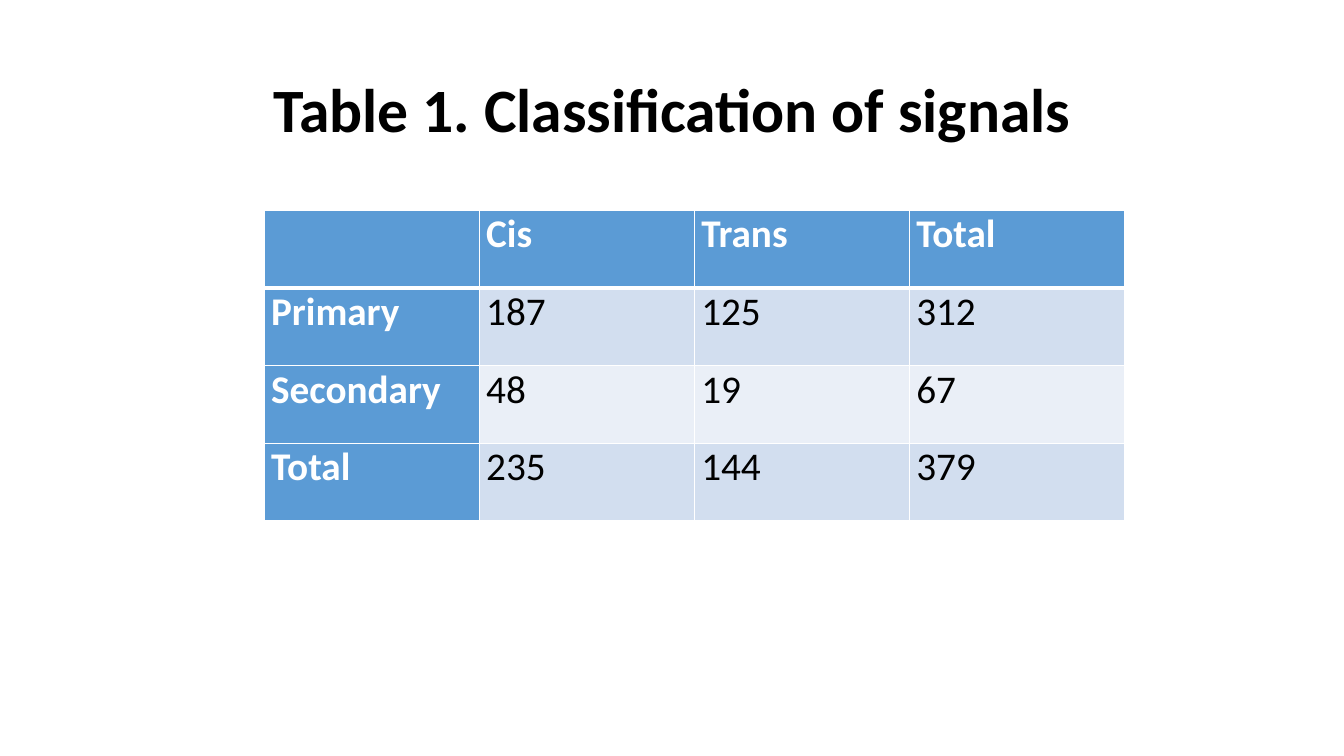
import dataclasses

import lxml.etree
import pptx
import pptx.dml.color
import pptx.enum.text
import pptx.oxml.ns
import pptx.util


@dataclasses.dataclass(frozen=True)
class Theme:
    font: str = "Calibri"
    title_size: int = 44
    cell_size: int = 28
    ink: str = "000000"
    paper: str = "FFFFFF"
    header: str = "5B9BD5"
    bands: tuple = ("D2DEEF", "EAEFF7")
    rule: int = 1
    header_rule: int = 3


THEME = Theme()
SLIDE_WIDTH = pptx.util.Inches(13.33)
SLIDE_HEIGHT = pptx.util.Inches(7.5)
COLUMN_WIDTH = int(SLIDE_WIDTH * 0.16)
ROW_HEIGHT = pptx.util.Inches(0.77)

SIGNALS = [
    ["", "Cis", "Trans", "Total"],
    ["Primary", "187", "125", "312"],
    ["Secondary", "48", "19", "67"],
    ["Total", "235", "144", "379"],
]


def rgb(value):
    return pptx.dml.color.RGBColor.from_string(value)


def style_paragraph(paragraph, size, color, bold):
    font = paragraph.font
    font.name = THEME.font
    font.size = pptx.util.Pt(size)
    font.bold = bold
    font.color.rgb = rgb(color)


def set_borders(cell, widths):
    qn = pptx.oxml.ns.qn
    properties = cell._tc.get_or_add_tcPr()
    for position, (side, width) in enumerate(widths.items()):
        border = lxml.etree.Element(qn(f"a:ln{side}"), w=str(pptx.util.Pt(width)))
        fill = lxml.etree.SubElement(border, qn("a:solidFill"))
        lxml.etree.SubElement(fill, qn("a:srgbClr"), val=THEME.paper)
        properties.insert(position, border)


def add_title(slide, text):
    title = slide.shapes.title
    title.left, title.width = int(SLIDE_WIDTH * 0.069), int(SLIDE_WIDTH * 0.863)
    title.top, title.height = int(SLIDE_HEIGHT * 0.053), int(SLIDE_HEIGHT * 0.193)
    title.text_frame.text = text
    title.text_frame.vertical_anchor = pptx.enum.text.MSO_ANCHOR.MIDDLE
    paragraph = title.text_frame.paragraphs[0]
    paragraph.alignment = pptx.enum.text.PP_ALIGN.CENTER
    paragraph.line_spacing = 0.9
    style_paragraph(paragraph, THEME.title_size, THEME.ink, True)


def fill_cell(cell, text, row, column):
    is_header = row == 0 or column == 0
    cell.text = text
    cell.margin_left = cell.margin_right = pptx.util.Inches(0.07)
    cell.margin_top = cell.margin_bottom = 0
    cell.fill.solid()
    cell.fill.fore_color.rgb = rgb(THEME.header if is_header else THEME.bands[(row - 1) % 2])
    style_paragraph(
        cell.text_frame.paragraphs[0],
        THEME.cell_size,
        THEME.paper if is_header else THEME.ink,
        is_header,
    )
    set_borders(cell, {
        "L": THEME.rule,
        "R": THEME.rule,
        "T": THEME.header_rule if row == 1 else THEME.rule,
        "B": THEME.header_rule if row == 0 else THEME.rule,
    })


def add_signal_table(slide, rows):
    row_count, column_count = len(rows), len(rows[0])
    signals = slide.shapes.add_table(
        row_count, column_count,
        pptx.util.Inches(2.62), pptx.util.Inches(2.09),
        COLUMN_WIDTH * column_count, ROW_HEIGHT * row_count,
    ).table
    signals.first_col = True
    for row, values in enumerate(rows):
        for column, text in enumerate(values):
            fill_cell(signals.cell(row, column), text, row, column)


def main():
    deck = pptx.Presentation()
    deck.slide_width, deck.slide_height = SLIDE_WIDTH, SLIDE_HEIGHT
    slide = deck.slides.add_slide(deck.slide_layouts.get_by_name("Title Only"))
    add_title(slide, "Table 1. Classification of signals")
    add_signal_table(slide, SIGNALS)
    deck.save("out.pptx")


if __name__ == "__main__":
    main()
